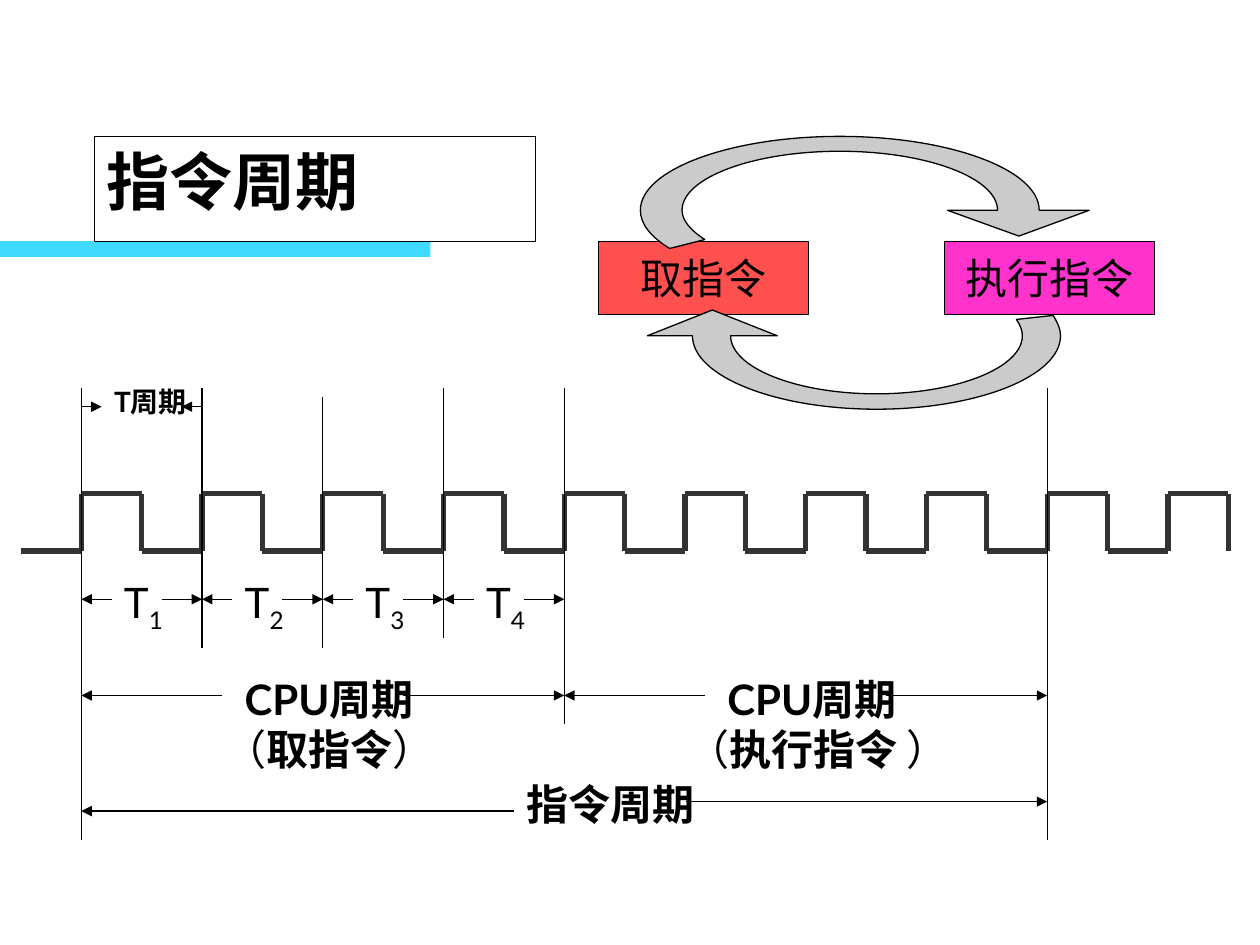
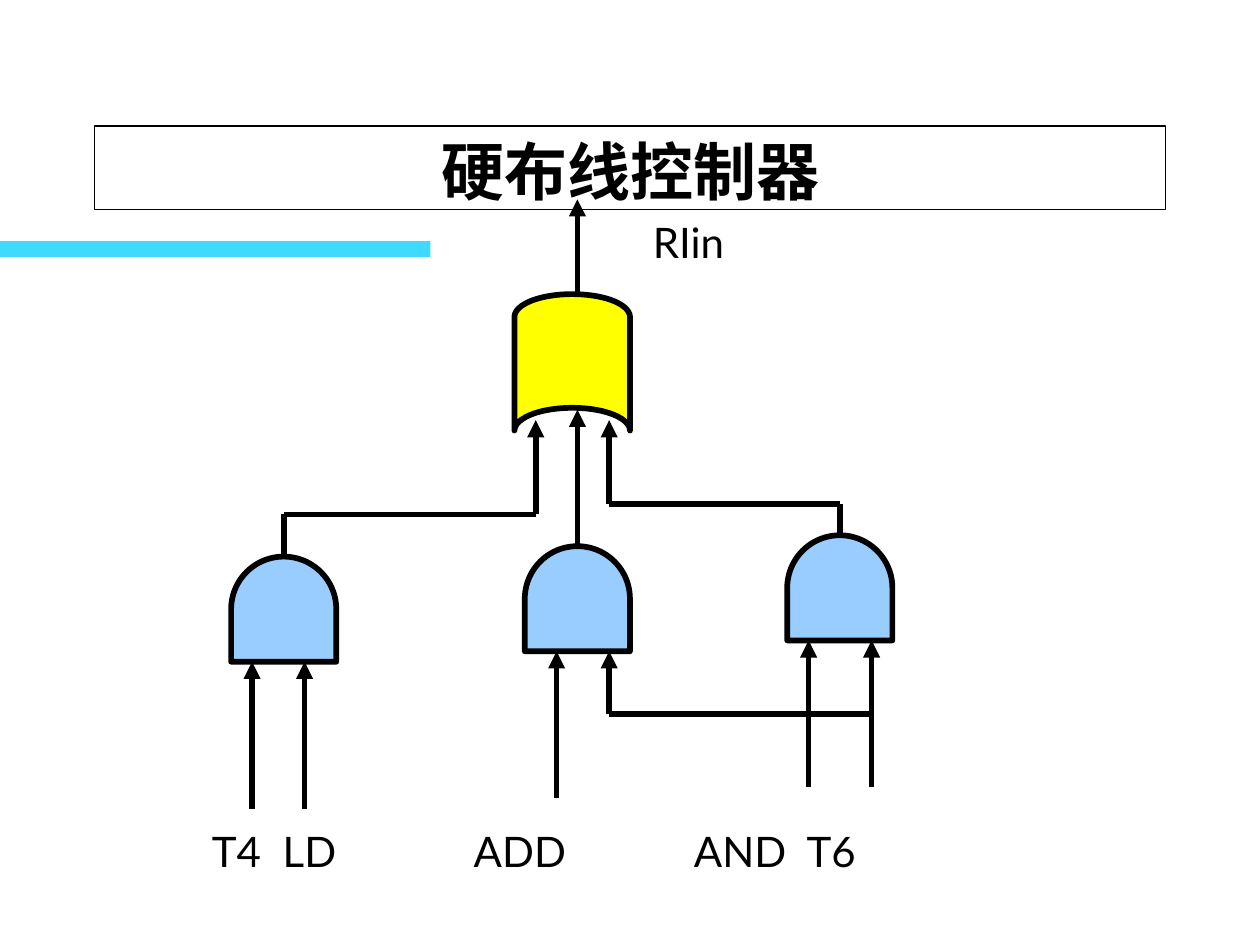
import itertools

import pptx
import pptx.dml.color
import pptx.enum.shapes
import pptx.enum.text
import pptx.oxml.ns
import pptx.util
from lxml import etree

Cm, Pt = pptx.util.Cm, pptx.util.Pt
RGBColor = pptx.dml.color.RGBColor
Shape = pptx.enum.shapes.MSO_SHAPE
Align = pptx.enum.text.PP_ALIGN
Anchor = pptx.enum.text.MSO_ANCHOR
qn = pptx.oxml.ns.qn

BLACK = RGBColor(0x00, 0x00, 0x00)
WHITE = RGBColor(0xFF, 0xFF, 0xFF)
BAND_CYAN = RGBColor(0x40, 0xD9, 0xFF)
CLOCK_GREY = RGBColor(0x33, 0x33, 0x33)
ARROW_GREY = RGBColor(0xCB, 0xCB, 0xCB)
FETCH_RED = RGBColor(0xFF, 0x50, 0x50)
EXECUTE_PINK = RGBColor(0xFF, 0x33, 0xCC)
OR_YELLOW = RGBColor(0xFF, 0xFF, 0x00)
AND_BLUE = RGBColor(0x99, 0xCC, 0xFF)
LABEL_FONT, BOX_FONT = "Lato", "Times New Roman"
THIN, CLOCK, WIRE = 0.75, 3, 3.25


def draw_line(page, start, end, width=THIN, colour=BLACK, arrow=False):
    """Join two points given in cm; the arrowhead sits at the end."""
    line = page.shapes.add_connector(
        pptx.enum.shapes.MSO_CONNECTOR.STRAIGHT, *map(Cm, start + end))
    line.line.color.rgb = colour
    line.line.width = Pt(width)
    if arrow:
        etree.SubElement(line.line._get_or_add_ln(), qn("a:tailEnd"), type="triangle")
    etree.SubElement(line._element.spPr, qn("a:effectLst"))


def add_box(page, place, spans, size=24, fill=None, align=Align.LEFT, anchor=Anchor.TOP):
    """Write (text, style) spans in a plain box, or in a framed one if fill is set."""
    place = [Cm(length) for length in place]
    if fill is None:
        box = page.shapes.add_textbox(*place)
    else:
        box = page.shapes.add_shape(Shape.RECTANGLE, *place)
        box.shadow.inherit = False
        box.fill.solid()
        box.fill.fore_color.rgb = fill
        box.line.color.rgb = BLACK
        box.line.width = Pt(THIN)
    box.text_frame.word_wrap = True
    box.text_frame.vertical_anchor = anchor
    para = box.text_frame.paragraphs[0]
    para.alignment = align
    for text, style in spans:
        span = para.add_run()
        span.text = text
        span.font.name = LABEL_FONT if fill is None else BOX_FONT
        span.font.size = Pt(size)
        span.font.bold = style == "bold"
        span.font.color.rgb = BLACK
        if style == "sub":
            span.font._element.set("baseline", "-25000")
    return box


deck = pptx.Presentation()
deck.slide_width, deck.slide_height = Cm(25.4), Cm(19.05)
cycle_page = deck.slides.add_slide(deck.slide_layouts[6])
controller_page = deck.slides.add_slide(deck.slide_layouts[6])

# The cyan band belongs to the master, so that every slide shows it
band = cycle_page.shapes.add_shape(Shape.RECTANGLE, 0, Cm(4.86), Cm(8.68), Cm(0.32))
band.shadow.inherit = False
band.fill.solid()
band.fill.fore_color.rgb = BAND_CYAN
band.line.fill.background()
deck.slide_master.shapes._spTree.append(band._element)

for page, title, place, align in [
    (cycle_page, "指令周期", (1.9, 2.75, 8.89, 2.12), Align.LEFT),
    (controller_page, "硬布线控制器", (1.91, 2.54, 21.59, 1.69), Align.CENTER),
]:
    add_box(page, place, [(title, "bold")], 36, WHITE, align)

# Clock signal: ten periods, each low, rise, high, fall
FIRST, LAST = 1.64, 21.11
PERIOD = (LAST - FIRST) / 8
HALF = PERIOD / 2
HIGH, LOW = 9.95, 11.11
for number in range(10):
    rise = FIRST + number * PERIOD
    wave = [(rise - HALF, LOW), (rise, LOW), (rise, HIGH), (rise + HALF, HIGH), (rise + HALF, LOW)]
    for start, end in itertools.pairwise(wave):
        draw_line(cycle_page, start, end, CLOCK, CLOCK_GREY)

# Vertical guides: period number, top, bottom
for number, top, bottom in [
    (0, 7.82, 16.94), (1, 7.82, 13.06), (2, 8.0, 13.06),
    (3, 7.82, 12.86), (4, 7.82, 14.6), (8, 7.82, 16.94),
]:
    x = FIRST + number * PERIOD
    draw_line(cycle_page, (x, top), (x, bottom))

# T1 to T4
for number in range(4):
    left = FIRST + number * PERIOD
    draw_line(cycle_page, (left + 0.61, 12.08), (left, 12.08), arrow=True)
    draw_line(cycle_page, (left + 1.62, 12.08), (left + PERIOD, 12.08), arrow=True)
    add_box(cycle_page, (left + 0.61, 11.5, 1.83, 1.42), [("T", ""), (str(number + 1), "sub")])

# The two CPU cycles
for number, name, closing, left, width in [
    (0, "取指令", "）", 4.27, 5.69),
    (4, "执行指令", " ）", 13.61, 6.1),
]:
    start = FIRST + number * PERIOD
    end = start + 4 * PERIOD
    draw_line(cycle_page, (start + 2.84, 14.02), (start, 14.02), arrow=True)
    draw_line(cycle_page, (end - 3.25, 14.02), (end, 14.02), arrow=True)
    add_box(cycle_page, (start + 3.04, 13.45, 4.88, 1.27), [("CPU周期", "bold")])
    add_box(cycle_page, (left, 14.47, width, 1.27), [("（", ""), (name, "bold"), (closing, "")])

# Whole instruction cycle and clock period
draw_line(cycle_page, (10.36, 16.35), (FIRST, 16.35), arrow=True)
draw_line(cycle_page, (13.82, 16.16), (LAST, 16.16), arrow=True)
add_box(cycle_page, (10.36, 15.57, 6.3, 1.27), [("指令周期", "bold")])
draw_line(cycle_page, (FIRST, 8.2), (FIRST + 0.41, 8.2), arrow=True)
draw_line(cycle_page, (FIRST + PERIOD, 8.2), (FIRST + PERIOD - 0.41, 8.2), arrow=True)
add_box(cycle_page, (2.05, 7.62, 2.64, 0.94), [("T周期", "bold")], 16)

# Fetch and execute boxes
for left, name, colour in [(12.06, "取指令", FETCH_RED), (19.04, "执行指令", EXECUTE_PINK)]:
    box = add_box(cycle_page, (left, 4.87, 4.24, 1.47), [(name, "")], 24, colour,
                  Align.CENTER, Anchor.MIDDLE)
    box.text_frame.word_wrap = False

# Curved arrows, as offsets from a centre; the lower one is turned half round
ROUND = 0.55  # control distance of a quarter ellipse
CURVE_STARTS = (0, 3, 6, 10, 13, 16)
for (cx, cy), turn, (a, b), (c, d), tail, head in [
    ((16.93, 4.24), 1, (3.18, 1.19), (4.02, 1.49),
     [(-3.18, 0.21), (-3.0, 0.41), (-2.72, 0.59), (-3.43, 0.77), (-3.82, 0.53), (-4.02, 0.27)],
     [(5.03, 0), (3.61, 0.52), (2.17, 0)]),
    ((17.67, 6.77), -1, (2.94, 1.17), (3.71, 1.48),
     [(-2.94, 0.12), (-2.89, 0.23), (-2.82, 0.33), (-3.56, 0.41), (-3.65, 0.27), (-3.71, 0.14)],
     [(4.62, 0), (3.31, 0.52), (2.0, 0)]),
]:
    inner, outer = [
        [(-rx, 0), (-rx, -ROUND * ry), (-ROUND * rx, -ry), (0, -ry),
         (ROUND * rx, -ry), (rx, -ROUND * ry), (rx, 0)]
        for rx, ry in [(a, b), (c, d)]
    ]
    offsets = inner[::-1] + tail + outer + head
    outline = [(Cm(cx + turn * dx), Cm(cy + turn * dy)) for dx, dy in offsets]
    builder = cycle_page.shapes.build_freeform(*outline[0])
    builder.add_line_segments(outline[1:], close=True)
    arrow = builder.convert_to_shape()
    arrow.shadow.inherit = False
    arrow.fill.solid()
    arrow.fill.fore_color.rgb = ARROW_GREY
    arrow.line.color.rgb = BLACK
    arrow.line.width = Pt(THIN)
    # Three line segments in a row become one Bezier curve
    contour = arrow._element.find(".//" + qn("a:path"))
    segments = list(contour)[1:]
    for first in CURVE_STARTS:
        curve = contour.makeelement(qn("a:cubicBezTo"))
        segments[first].addprevious(curve)
        for segment in segments[first:first + 3]:
            curve.append(segment[0])
            contour.remove(segment)

# Logic gates: one OR gate above three AND gates
AND_SIZE = (2.12, 2.12)
for kind, corner, size, turn, colour in [
    (Shape.FLOWCHART_STORED_DATA, (10.16, 6.14), (2.75, 2.33), 90, OR_YELLOW),
    (Shape.FLOWCHART_DELAY, (4.66, 11.22), AND_SIZE, 270, AND_BLUE),
    (Shape.FLOWCHART_DELAY, (10.58, 11.01), AND_SIZE, 270, AND_BLUE),
    (Shape.FLOWCHART_DELAY, (15.87, 10.79), AND_SIZE, 270, AND_BLUE),
]:
    gate = controller_page.shapes.add_shape(kind, *map(Cm, corner + size))
    gate.rotation = turn
    gate.shadow.inherit = False
    gate.fill.solid()
    gate.fill.fore_color.rgb = colour
    gate.line.color.rgb = BLACK
    gate.line.width = Pt(WIRE)

# Wires run through their points and end in an arrowhead
wires = [
    [(5.08, 16.3), (5.08, 13.34)],
    [(6.14, 16.3), (6.14, 13.34)],
    [(11.22, 16.09), (11.22, 13.13)],
    [(16.3, 15.87), (16.3, 12.91)],
    [(17.57, 15.87), (17.57, 12.91)],
    [(17.57, 14.39), (12.28, 14.39), (12.28, 13.13)],
    [(5.72, 11.22), (5.72, 10.37), (10.8, 10.37), (10.8, 8.47)],
    [(11.64, 11.01), (11.64, 8.26)],
    [(16.93, 10.8), (16.93, 10.16), (12.28, 10.16), (12.28, 8.47)],
    [(11.64, 5.93), (11.64, 4.02)],
]
for wire in wires:
    for start, end in itertools.pairwise(wire):
        draw_line(controller_page, start, end, WIRE, arrow=end == wire[-1])

# Output name, and input names on tab stops
add_box(controller_page, (12.91, 4.23, 5.72, 1.27), [("RIin", "")])
inputs = add_box(controller_page, (3.39, 16.51, 17.57, 1.27), [("\tT4\tLD\tADD\tAND\tT6", "")])
para_format = inputs.text_frame.paragraphs[0]._p.get_or_add_pPr()
tab_list = etree.SubElement(para_format, qn("a:tabLst"))
for stop in (0.63, 2.06, 5.91, 10.35, 12.62):
    etree.SubElement(tab_list, qn("a:tab"), pos=str(Cm(stop)), algn="l")

deck.save("out.pptx")
